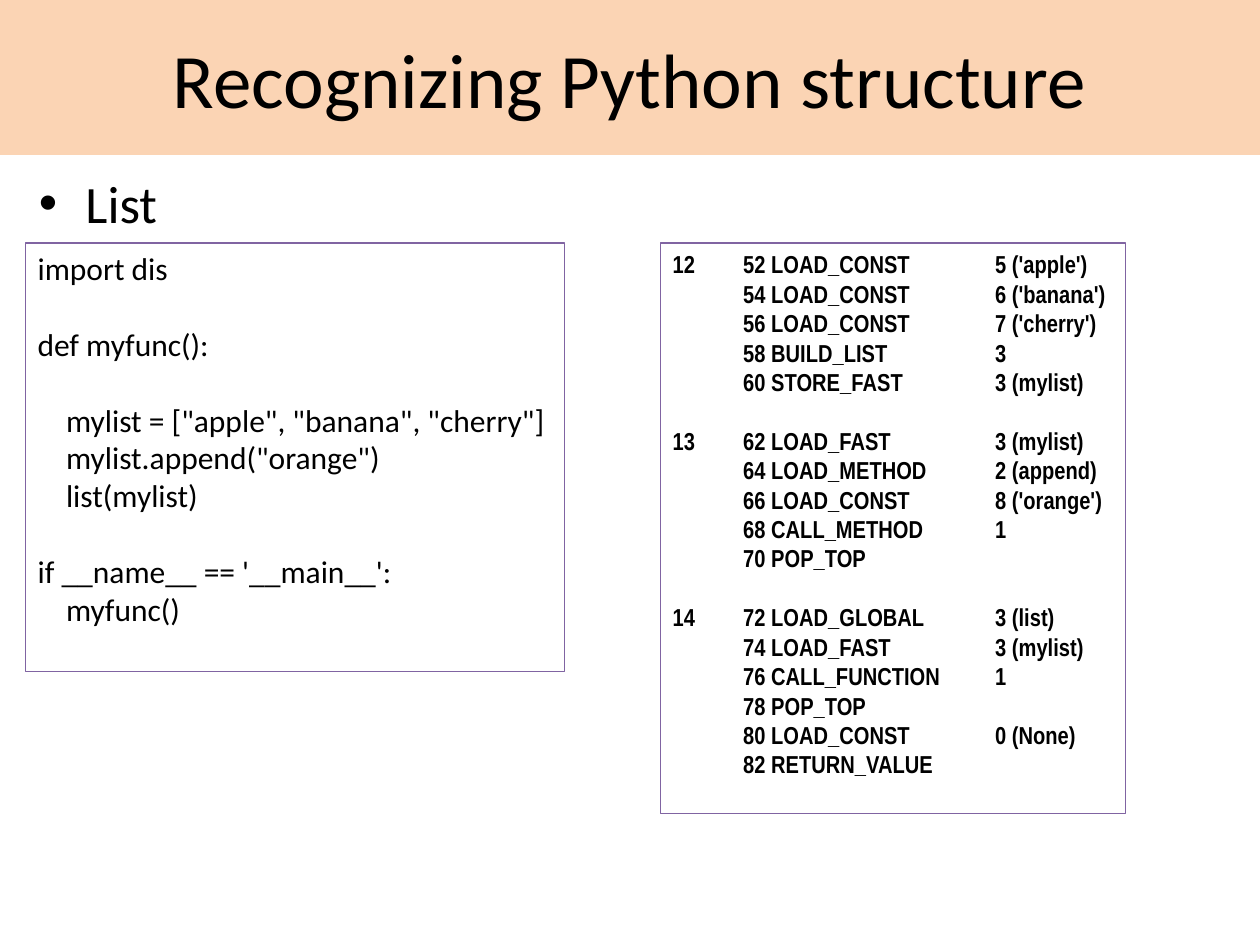
from pptx import Presentation
from pptx.dml.color import RGBColor
from pptx.enum.shapes import MSO_SHAPE as Shape
from pptx.enum.text import MSO_ANCHOR as Anchor, PP_ALIGN as Align
from pptx.oxml.ns import qn
from pptx.util import Inches, Pt
from lxml.etree import SubElement

BLACK = RGBColor(0x00, 0x00, 0x00)
PEACH = RGBColor(0xFB, 0xD4, 0xB4)
PURPLE = RGBColor(0x80, 0x64, 0xA2)

# Blocks of lines, set apart by one line's height
SOURCE_BLOCKS = [
    ["import dis"],
    ["def myfunc():"],
    ['    mylist = ["apple", "banana", "cherry"]',
     '    mylist.append("orange")',
     "    list(mylist)"],
    ["if __name__ == '__main__':",
     "    myfunc()"],
]

# Source line number -> (offset, instruction, argument)
BYTECODE = {
    12: [(52, "LOAD_CONST", "5 ('apple')"),
         (54, "LOAD_CONST", "6 ('banana')"),
         (56, "LOAD_CONST", "7 ('cherry')"),
         (58, "BUILD_LIST", "3"),
         (60, "STORE_FAST", "3 (mylist)")],
    13: [(62, "LOAD_FAST", "3 (mylist)"),
         (64, "LOAD_METHOD", "2 (append)"),
         (66, "LOAD_CONST", "8 ('orange')"),
         (68, "CALL_METHOD", "1"),
         (70, "POP_TOP", "")],
    14: [(72, "LOAD_GLOBAL", "3 (list)"),
         (74, "LOAD_FAST", "3 (mylist)"),
         (76, "CALL_FUNCTION", "1"),
         (78, "POP_TOP", ""),
         (80, "LOAD_CONST", "0 (None)"),
         (82, "RETURN_VALUE", "")],
}


def bytecode_blocks():
    """Lay the instructions out as tabbed lines, one block per source line."""
    blocks = []
    for number, steps in BYTECODE.items():
        lines = []
        for index, (offset, name, argument) in enumerate(steps):
            label = "" if index else str(number)
            lines.append(f"{label}\t{offset} {name}\t{argument}".rstrip())
        blocks.append(lines)
    return blocks


class SlideBuilder:
    def __init__(self, slide, font="Calibri", color=BLACK):
        self.slide = slide
        self.font = font
        self.color = color

    def add_run(self, paragraph, text, size, font=None, bold=False):
        run = paragraph.add_run()
        run.text = text
        run.font.name = font or self.font
        run.font.size = Pt(size)
        run.font.bold = bold
        run.font.color.rgb = self.color

    def title(self, text, height):
        banner = self.slide.shapes.title
        banner.left, banner.top = Inches(0), Inches(0)
        banner.width, banner.height = Inches(10), Inches(height)
        banner.fill.solid()
        banner.fill.fore_color.rgb = PEACH
        banner.text_frame.vertical_anchor = Anchor.MIDDLE
        paragraph = banner.text_frame.paragraphs[0]
        paragraph.alignment = Align.CENTER
        self.add_run(paragraph, text, 44)

    def bullet(self, text, left, top, width, height):
        box = self.slide.shapes.add_textbox(
            Inches(left), Inches(top), Inches(width), Inches(height))
        box.text_frame.word_wrap = True
        paragraph = box.text_frame.paragraphs[0]
        properties = paragraph._p.get_or_add_pPr()
        properties.set("marL", str(Inches(0.38)))
        properties.set("indent", str(Inches(-0.37)))
        SubElement(properties, qn("a:buFont"), typeface="Arial")
        SubElement(properties, qn("a:buChar"), char="•")
        self.add_run(paragraph, text, 30)

    def code_box(self, blocks, left, top, width, height, size, gap,
                 font=None, bold=False, tabs=()):
        box = self.slide.shapes.add_shape(
            Shape.RECTANGLE,
            Inches(left), Inches(top), Inches(width), Inches(height))
        box.shadow.inherit = False
        box.fill.background()
        box.line.color.rgb = PURPLE
        box.line.width = Pt(0.75)
        frame = box.text_frame
        frame.word_wrap = True
        frame.vertical_anchor = Anchor.TOP

        paragraph = None
        for block in blocks:
            for index, line in enumerate(block):
                starts_gap = paragraph is not None and index == 0
                paragraph = (frame.paragraphs[0] if paragraph is None
                             else frame.add_paragraph())
                if tabs:
                    stops = SubElement(paragraph._p.get_or_add_pPr(),
                                       qn("a:tabLst"))
                    for stop in tabs:
                        SubElement(stops, qn("a:tab"),
                                   pos=str(Inches(stop)), algn="l")
                paragraph.alignment = Align.LEFT
                if starts_gap:
                    paragraph.space_before = Pt(gap)
                self.add_run(paragraph, line, size, font, bold)


def main():
    deck = Presentation()
    deck.slide_width, deck.slide_height = Inches(10), Inches(7.5)
    builder = SlideBuilder(deck.slides.add_slide(deck.slide_layouts[5]))

    # Heading and topic
    builder.title("Recognizing Python structure", height=1.23)
    builder.bullet("List", 0.2, 1.31, 9.61, 5.59)

    # Python source beside its bytecode
    builder.code_box(SOURCE_BLOCKS, 0.2, 1.93, 4.28, 3.4, size=18, gap=21.6)
    builder.code_box(bytecode_blocks(), 5.24, 1.93, 3.69, 4.53, size=14,
                     gap=16.8, font="Arial Narrow", bold=True,
                     tabs=(0.56, 2.56))

    deck.save("out.pptx")


if __name__ == "__main__":
    main()
